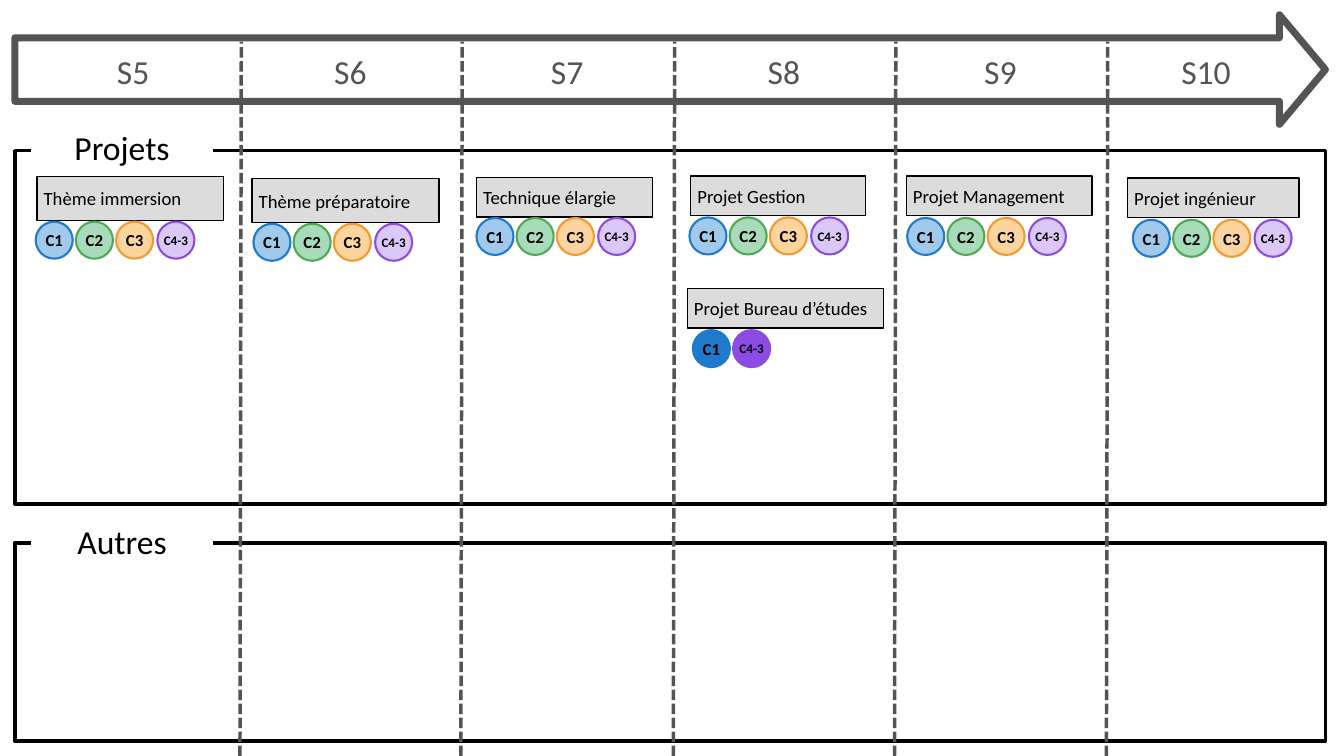
import itertools
from dataclasses import dataclass
from typing import Optional

import lxml.etree
import pptx
import pptx.dml.color
import pptx.enum.dml
import pptx.enum.shapes
import pptx.enum.text
import pptx.oxml.ns
import pptx.util

Cm, Pt = pptx.util.Cm, pptx.util.Pt
RGB = pptx.dml.color.RGBColor
Shape = pptx.enum.shapes.MSO_SHAPE
Align = pptx.enum.text.PP_ALIGN
Anchor = pptx.enum.text.MSO_ANCHOR
qn = pptx.oxml.ns.qn


@dataclass(frozen=True)
class Theme:
    font: str = "Calibri"
    ink: str = "000000"
    grey: str = "545454"
    card: str = "DDDCDC"
    paper: str = "FFFFFF"
    head: int = 36
    body: int = 20
    skill: int = 18
    small: int = 14


@dataclass(frozen=True)
class Box:
    left: float
    top: float
    width: float
    height: float

    def place(self) -> tuple:
        return tuple(map(Cm, (self.left, self.top, self.width, self.height)))


@dataclass(frozen=True)
class Skill:
    name: str
    line: str
    fill: str
    size: int
    shift: float  # distance from the first skill in a row
    alpha: int = 100


@dataclass(frozen=True)
class Project:
    name: str
    box: Box
    left: float  # start of the skill row
    top: float
    skills: tuple


THEME = Theme()

C1 = Skill("C1", "1E7ACC", "A0C9EB", THEME.skill, 0)
C2 = Skill("C2", "4FA954", "A8DBBA", THEME.skill, 1.52)
C3 = Skill("C3", "F49831", "FBD49E", THEME.skill, 3.04)
C4 = Skill("C4-3", "8C4BE2", "8C4BE2", THEME.small, 4.6, 30)
ALL = (C1, C2, C3, C4)
FULL = (Skill("C1", C1.line, C1.line, THEME.skill, 0),
        Skill("C4-3", C4.line, C4.line, THEME.small, 1.52))

PROJECTS = (
    Project("Thème immersion", Box(1.4, 6.68, 7.06, 1.65), 1.35, 8.38, ALL),
    Project("Thème préparatoire", Box(9.53, 6.76, 7.06, 1.65), 9.58, 8.46, ALL),
    Project("Technique élargie", Box(18.01, 6.71, 6.65, 1.5), 18.01, 8.24, ALL),
    Project("Projet Gestion", Box(26.11, 6.65, 6.6, 1.5), 26.06, 8.22, ALL),
    Project("Projet Bureau d’études", Box(25.98, 10.9, 7.42, 1.5), 26.19, 12.48, FULL),
    Project("Projet Management", Box(34.26, 6.65, 7.01, 1.5), 34.29, 8.24, ALL),
    Project("Projet ingénieur", Box(42.62, 6.73, 6.48, 1.5), 42.82, 8.31, ALL),
)

TERMS = ("S5", "S6", "S7", "S8", "S9", "S10")
EDGES = (0.99, 9.07, 17.42, 25.45, 33.81, 41.82, 49.35)
WIDTH, HEIGHT = 50.8, 28.58
DOT = 1.4


def write(frame, text: str, size: int, color: str = THEME.ink,
          align=Align.CENTER, bold: bool = False, inset: bool = True):
    """Fill a text frame with one paragraph and return it."""
    frame.word_wrap = True
    if not inset:
        frame.margin_left = frame.margin_right = 0
        frame.margin_top = frame.margin_bottom = 0
    par = frame.paragraphs[0]
    par.text = text
    par.alignment = align
    par.font.name = THEME.font
    par.font.size = Pt(size)
    par.font.bold = bold
    par.font.color.rgb = RGB.from_string(color)
    return par


def draw(slide, kind, box: Box, fill: Optional[str] = None,
         line: Optional[str] = None, weight: float = 0):
    """Add a preset shape without shadow."""
    shape = slide.shapes.add_shape(kind, *box.place())
    shape.shadow.inherit = False
    if fill:
        shape.fill.solid()
        shape.fill.fore_color.rgb = RGB.from_string(fill)
    else:
        shape.fill.background()
    if line:
        shape.line.color.rgb = RGB.from_string(line)
        shape.line.width = Pt(weight)
    else:
        shape.line.fill.background()
    return shape


def draw_rule(slide, foot: float) -> None:
    """Add the dashed line between two terms."""
    rule = slide.shapes.add_connector(
        pptx.enum.shapes.MSO_CONNECTOR.STRAIGHT,
        Cm(foot), Cm(HEIGHT), Cm(foot + 0.05), Cm(1.57))
    rule.line.color.rgb = RGB.from_string(THEME.grey)
    rule.line.width = Pt(3.75)
    rule.line.dash_style = pptx.enum.dml.MSO_LINE.SQUARE_DOT
    lxml.etree.SubElement(rule._element.spPr, qn("a:effectLst"))


def draw_term(slide, name: str, left: float, right: float) -> None:
    box = Box(left, 1.78, right - left, 1.6)
    frame = slide.shapes.add_textbox(*box.place()).text_frame
    par = write(frame, name, THEME.head, THEME.grey, inset=False)
    par.line_spacing = Pt(46.8)


def draw_skill(slide, skill: Skill, left: float, top: float) -> None:
    dot = draw(slide, Shape.OVAL, Box(left + skill.shift, top, DOT, DOT),
               skill.fill, skill.line, 2.25)
    if skill.alpha < 100:
        tint = dot._element.spPr.find(qn("a:solidFill"))[0]
        lxml.etree.SubElement(tint, qn("a:alpha"), val=str(skill.alpha * 1000))
    write(dot.text_frame, skill.name, skill.size, bold=True, inset=False)


def draw_project(slide, project: Project) -> None:
    card = draw(slide, Shape.RECTANGLE, project.box, THEME.card, THEME.ink, 1.5)
    write(card.text_frame, project.name, THEME.body, align=Align.LEFT)
    for skill in project.skills:
        draw_skill(slide, skill, project.left, project.top)


def main() -> None:
    deck = pptx.Presentation()
    deck.slide_width, deck.slide_height = Cm(WIDTH), Cm(HEIGHT)
    slide = deck.slides.add_slide(deck.slide_layouts[6])

    # Time arrow
    arrow = draw(slide, Shape.RIGHT_ARROW, Box(0.56, 0.56, 49.54, 4.14),
                 line=THEME.grey, weight=7.5)
    arrow.adjustments[0] = 0.58
    arrow.adjustments[1] = 0.42

    # Section frames
    for top, height in ((20.52, 7.5), (5.7, 13.36)):
        draw(slide, Shape.RECTANGLE, Box(0.56, top, 49.54, height),
             line=THEME.ink, weight=3.75)

    # Terms and the lines between them
    for edge in EDGES[1:-1]:
        draw_rule(slide, edge)
    for name, (left, right) in zip(TERMS, itertools.pairwise(EDGES)):
        draw_term(slide, name, left, right)

    # Section names, set over the frame lines
    for name, top, anchor in (("Autres", 19.58, Anchor.TOP),
                              ("Projets", 4.78, Anchor.MIDDLE)):
        label = draw(slide, Shape.RECTANGLE, Box(1.18, top, 6.87, 1.55), THEME.paper)
        label.text_frame.vertical_anchor = anchor
        write(label.text_frame, name, THEME.head)

    # Projects with their skills
    for project in PROJECTS:
        draw_project(slide, project)

    deck.save("out.pptx")


if __name__ == "__main__":
    main()
